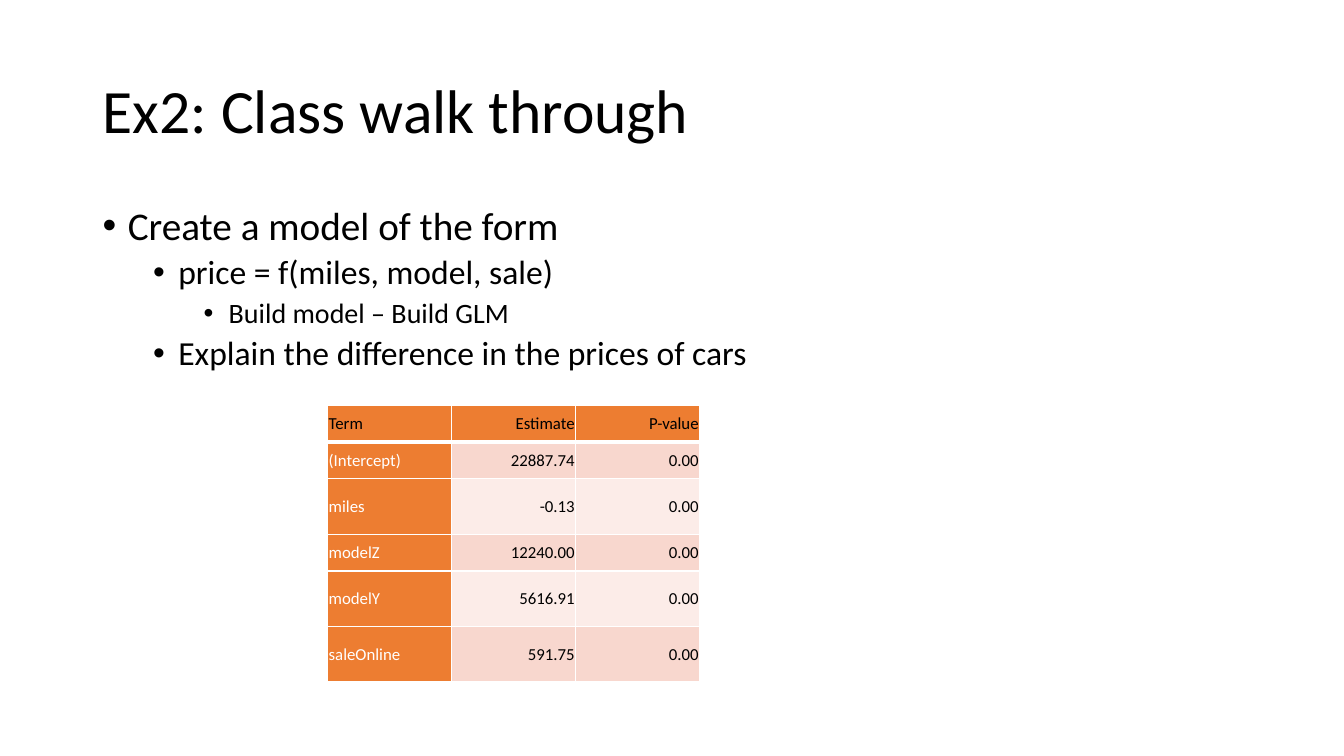
"""Build the class walk-through slide with its outline and model coefficient table."""
from typing import NamedTuple

from lxml import etree
from pptx import Presentation
from pptx import util as u
from pptx.dml.color import RGBColor
from pptx.enum import text
from pptx.oxml import ns

BLACK = RGBColor(0x00, 0x00, 0x00)
WHITE = RGBColor(0xFF, 0xFF, 0xFF)
ORANGE = RGBColor(0xED, 0x7D, 0x31)
BANDS = (RGBColor(0xF8, 0xD7, 0xCE), RGBColor(0xFC, 0xEC, 0xE8))
FONT = "Calibri"
WIDTH, HEIGHT = u.Inches(13.33), u.Inches(7.5)
MARGIN = u.Inches(0.92)
CONTENT_WIDTH = WIDTH - 2 * MARGIN
COLUMN, SHORT_ROW, TALL_ROW = u.Inches(1.23), u.Inches(0.365), u.Inches(0.55)
INSET = u.Inches(0.01)


class Point(NamedTuple):
    """One outline entry with its level."""
    wording: str
    level: int


class Term(NamedTuple):
    """One table row with its height."""
    cells: tuple[str, str, str]
    height: int


OUTLINE = (
    Point("Create a model of the form", 0),
    Point("price = f(miles, model, sale)", 1),
    Point("Build model – Build GLM", 2),
    Point("Explain the difference in the prices of cars", 1),
)
TERMS = (
    Term(("Term", "Estimate", "P-value"), SHORT_ROW),
    Term(("(Intercept)", "22887.74", "0.00"), SHORT_ROW),
    Term(("miles", "-0.13", "0.00"), TALL_ROW),
    Term(("modelZ", "12240.00", "0.00"), SHORT_ROW),
    Term(("modelY", "5616.91", "0.00"), TALL_ROW),
    Term(("saleOnline", "591.75", "0.00"), TALL_ROW),
)


def style(paragraph, size: int, color: RGBColor = BLACK) -> None:
    """Set the font of a paragraph."""
    font = paragraph.font
    font.name, font.size = FONT, u.Pt(size)
    font.color.rgb = color


def add_title(slide, wording: str) -> None:
    """Place and format the title placeholder."""
    title = slide.shapes.title
    title.left, title.top = MARGIN, u.Inches(0.4)
    title.width, title.height = CONTENT_WIDTH, u.Inches(1.45)
    frame = title.text_frame
    frame.text, frame.word_wrap = wording, True
    frame.vertical_anchor = text.MSO_ANCHOR.MIDDLE
    heading = frame.paragraphs[0]
    heading.alignment, heading.line_spacing = text.PP_ALIGN.LEFT, 0.9
    style(heading, 44)


def add_outline(slide, points: tuple[Point, ...]) -> None:
    """Write the bulleted outline, indented by level."""
    frame = slide.shapes.add_textbox(MARGIN, u.Inches(2), CONTENT_WIDTH, u.Inches(4.76)).text_frame
    frame.word_wrap = True
    for index, point in enumerate(points):
        entry = frame.add_paragraph() if index else frame.paragraphs[0]
        entry.text, entry.level = point.wording, point.level
        properties = entry._p.get_or_add_pPr()
        properties.set("marL", str(u.Inches(0.25 + 0.5 * point.level)))
        properties.set("indent", str(-u.Inches(0.25)))
        etree.SubElement(properties, ns.qn("a:buFont"), typeface="Arial")
        etree.SubElement(properties, ns.qn("a:buChar"), char="•")
        entry.line_spacing = 0.9
        entry.space_before = u.Pt(5 if point.level else 10)
        style(entry, 28 - 4 * point.level)


def add_borders(cell, top: int, bottom: int) -> None:
    """Draw white cell borders, with given top and bottom widths in points."""
    properties = cell._tc.get_or_add_tcPr()
    for side, width in (("L", 1), ("R", 1), ("T", top), ("B", bottom)):
        line = etree.SubElement(properties, ns.qn(f"a:ln{side}"), w=str(u.Pt(width)))
        paint = etree.SubElement(line, ns.qn("a:solidFill"))
        etree.SubElement(paint, ns.qn("a:srgbClr"), val=str(WHITE))


def add_coefficients(slide, terms: tuple[Term, ...]) -> None:
    """Draw the table with an orange header and first column and banded values."""
    columns = len(terms[0].cells)
    table = slide.shapes.add_table(
        len(terms), columns, u.Inches(3.25), u.Inches(4.02),
        columns * COLUMN, sum(term.height for term in terms)).table
    for column in table.columns:
        column.width = COLUMN
    for r, term in enumerate(terms):
        table.rows[r].height = term.height
        for c, wording in enumerate(term.cells):
            cell = table.cell(r, c)
            cell.text = wording
            cell.vertical_anchor = text.MSO_ANCHOR.MIDDLE
            cell.margin_left = cell.margin_right = cell.margin_top = INSET
            cell.margin_bottom = 0
            add_borders(cell, top=3 if r == 1 else 1, bottom=3 if r == 0 else 1)
            cell.fill.solid()
            cell.fill.fore_color.rgb = ORANGE if r == 0 or c == 0 else BANDS[(r - 1) % 2]
            value = cell.text_frame.paragraphs[0]
            value.alignment = text.PP_ALIGN.RIGHT if c else text.PP_ALIGN.LEFT
            style(value, 12, WHITE if r and c == 0 else BLACK)
            value.font.bold = False


def main() -> None:
    """Assemble and save the slide."""
    deck = Presentation()
    deck.slide_width, deck.slide_height = WIDTH, HEIGHT
    slide = deck.slides.add_slide(deck.slide_layouts[5])
    add_title(slide, "Ex2: Class walk through")
    add_outline(slide, OUTLINE)
    add_coefficients(slide, TERMS)
    deck.save("out.pptx")


main()
